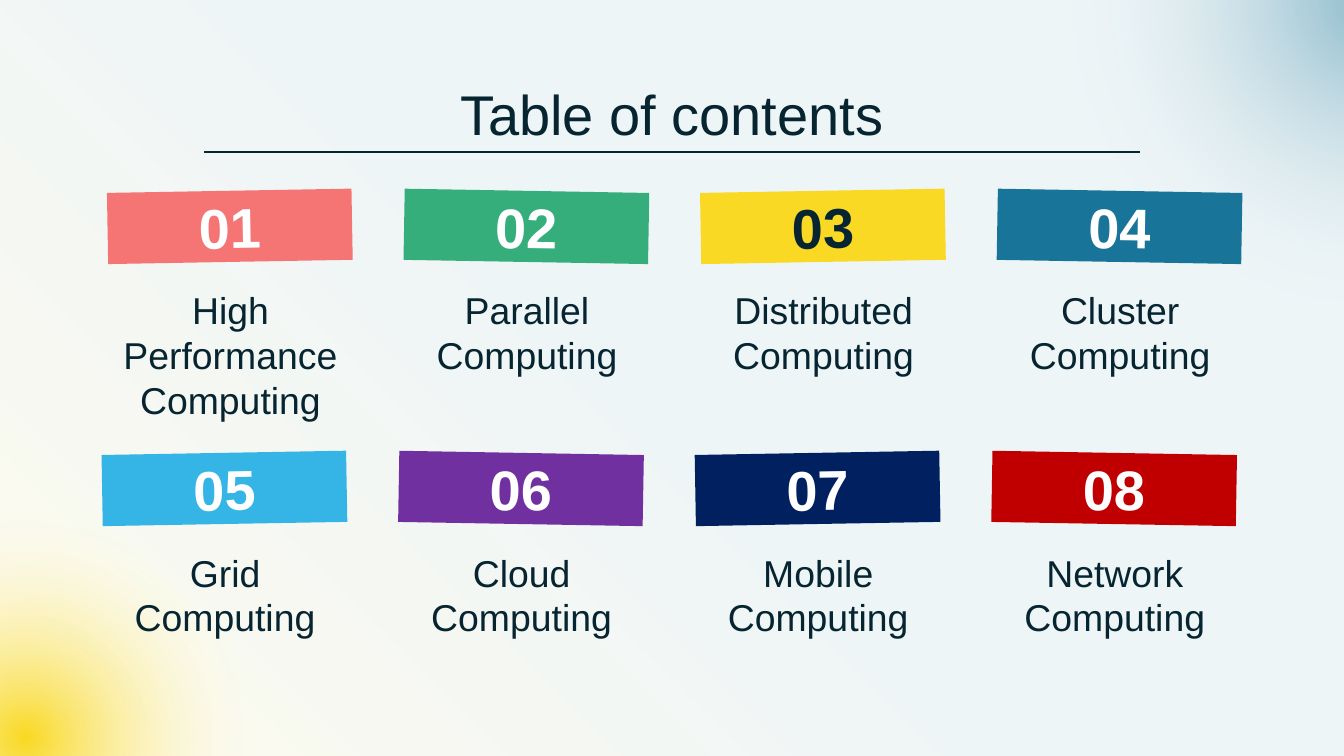
import pptx
import pptx.util
import pptx.dml.color
import pptx.enum.shapes
import pptx.enum.text
import pptx.oxml
from pptx.util import Inches

INK = "062531"
WHITE = "FFFFFF"
NS = "http://schemas.openxmlformats.org/drawingml/2006/main"


def rgb(code):
    return pptx.dml.color.RGBColor.from_string(code)


def write(shape, text, size, color=INK, bold=False, anchor="TOP"):
    """Fill a shape with one centred paragraph and no insets."""
    frame = shape.text_frame
    frame.word_wrap = True
    frame.auto_size = pptx.enum.text.MSO_AUTO_SIZE.NONE
    frame.margin_left = frame.margin_right = 0
    frame.margin_top = frame.margin_bottom = 0
    frame.vertical_anchor = pptx.enum.text.MSO_ANCHOR[anchor]
    frame.text = text
    para = frame.paragraphs[0]
    para.alignment = pptx.enum.text.PP_ALIGN.CENTER
    para.line_spacing = 1.0
    para.font.name = "Arial"
    para.font.size = pptx.util.Pt(size)
    para.font.bold = bold
    para.font.color.rgb = rgb(color)


deck = pptx.Presentation()
deck.slide_width = Inches(10)
deck.slide_height = Inches(10) * 9 // 16
slide = deck.slides.add_slide(deck.slide_layouts[5])
shapes = slide.shapes
kinds = pptx.enum.shapes.MSO_SHAPE

# Pale wash and two glowing corners: left, top, width, height, stops, direction
round_path = ('<a:path path="circle">'
              '<a:fillToRect l="50000" t="50000" r="50000" b="50000"/></a:path>')
clear = [(50, WHITE, 0), (100, WHITE, 0)]
glows = [
    (kinds.RECTANGLE, -0.04, -0.04, 10.08, 5.71,
     [(0, "187498", 7), (50, "187498", 7), (100, "F9D923", 7)],
     '<a:lin ang="8100000" scaled="0"/>'),
    (kinds.OVAL, -2.39, 2.91, 5.15, 5.15,
     [(0, "F9D923", 100)] + clear, round_path),
    (kinds.OVAL, 6.76, -3.48, 6.96, 6.96,
     [(0, "187498", 47)] + clear, round_path),
]
for kind, left, top, width, height, stops, way in glows:
    glow = shapes.add_shape(kind, Inches(left), Inches(top),
                            Inches(width), Inches(height))
    glow.shadow.inherit = False
    glow.line.fill.background()
    marks = "".join(
        f'<a:gs pos="{pos * 1000}"><a:srgbClr val="{code}">'
        f'<a:alpha val="{alpha * 1000}"/></a:srgbClr></a:gs>'
        for pos, code, alpha in stops)
    grad = pptx.oxml.parse_xml(
        f'<a:gradFill xmlns:a="{NS}" rotWithShape="1">'
        f'<a:gsLst>{marks}</a:gsLst>{way}</a:gradFill>')
    glow._element.spPr.find(f"{{{NS}}}prstGeom").addnext(grad)

# Heading, above the glows, with its rule
title = shapes.title
shapes._spTree.append(title._element)
title.left, title.top = Inches(0.8), Inches(0.59)
title.width, title.height = Inches(8.4), Inches(0.51)
write(title, "Table of contents", 30)

rule = shapes.add_connector(pptx.enum.shapes.MSO_CONNECTOR.STRAIGHT,
                            Inches(1.52), Inches(1.13),
                            Inches(8.48), Inches(1.13))
rule.line.color.rgb = rgb(INK)
rule.line.width = pptx.util.Pt(0.75)
rule._element.spPr.append(pptx.oxml.parse_xml(f'<a:effectLst xmlns:a="{NS}"/>'))

# Two rows of four topics, tags tilted by turns
topics = [
    ("High Performance", "F57474"), ("Parallel", "36AE7C"),
    ("Distributed", "F9D923"), ("Cluster", "187498"),
    ("Grid", "34B5E6"), ("Cloud", "7030A0"),
    ("Mobile", "002060"), ("Network", "C00000"),
]
pitch = (7.42 - 0.8) / 3
for i, (topic, color) in enumerate(topics):
    row, col = divmod(i, 4)
    left = 0.8 - 0.04 * row + pitch * col
    top = 1.42 + 1.95 * row
    tag = shapes.add_shape(kinds.RECTANGLE, Inches(left), Inches(top),
                           Inches(1.82), Inches(0.53))
    tag.shadow.inherit = False
    tag.rotation = 1 if col % 2 else 359
    tag.fill.solid()
    tag.fill.fore_color.rgb = rgb(color)
    tag.line.fill.background()
    write(tag, f"{i + 1:02}", 30, INK if color == "F9D923" else WHITE,
          True, "MIDDLE")

    label = shapes.add_textbox(Inches(left + 0.02), Inches(top + 0.72),
                               Inches(1.79), Inches(0.67))
    write(label, f"{topic} Computing", 20)

deck.save("out.pptx")
